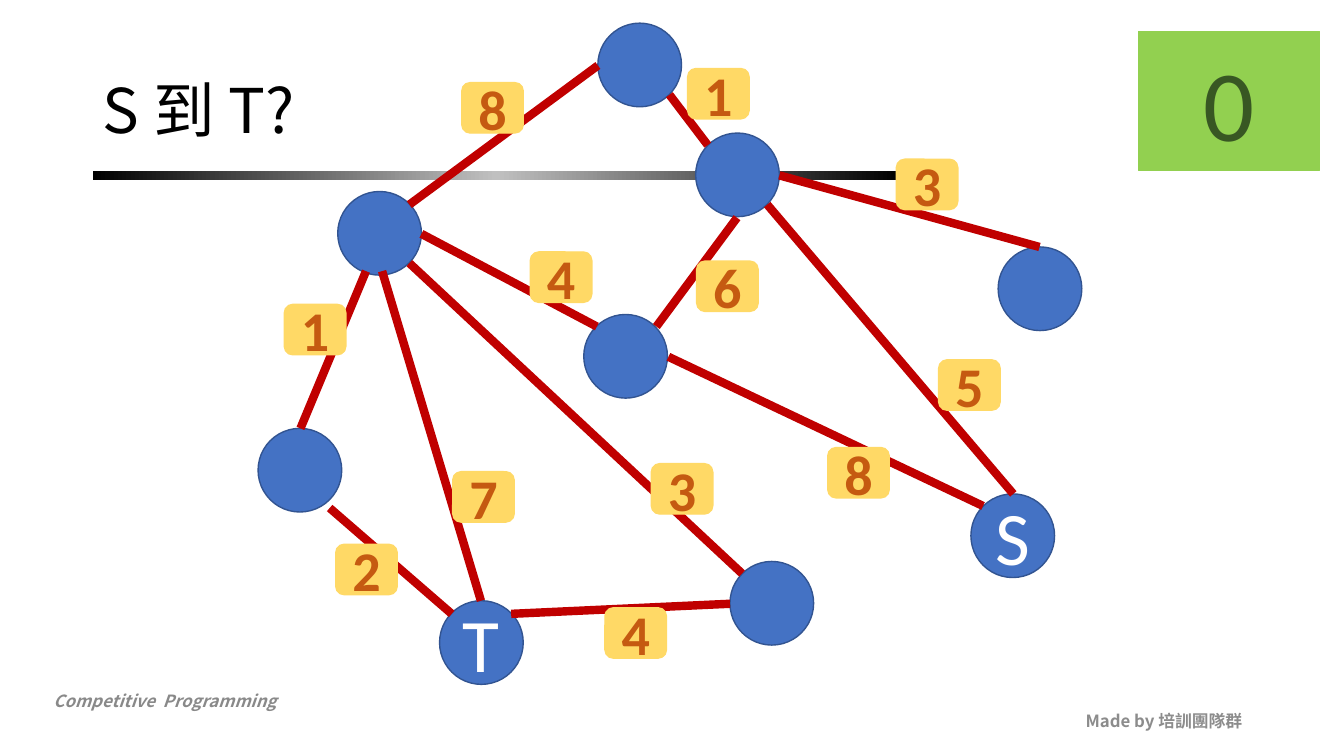
"""Builds the slide that asks for the shortest route from S to T in a weighted graph."""
import copy

import pptx
import pptx.dml.color
import pptx.enum.shapes
import pptx.enum.text
import pptx.oxml.ns
import pptx.util

PX = 9144
SHAPE = pptx.enum.shapes.MSO_SHAPE
ALIGN = pptx.enum.text.PP_ALIGN
MIDDLE = pptx.enum.text.MSO_ANCHOR.MIDDLE
TOP = pptx.enum.text.MSO_ANCHOR.TOP
qn = pptx.oxml.ns.qn

COLORS = {
    "black": "000000", "silver": "C0C0C0", "white": "FFFFFF",
    "footer": "898989", "credit": "8C8C8C",
    "node": "4472C4", "node_line": "325491", "edge": "C00000",
    "weight": "FFD966", "weight_text": "C55A11",
    "answer": "92D050", "answer_text": "385723",
}
LATIN, CJK = "Calibri", "Noto Sans CJK SC"
NODE_SIZE = 83
WEIGHT_WIDTH, WEIGHT_HEIGHT = 61, 50

NODES = [
    (335, 190, ""), (593, 23, ""), (690, 132, ""), (579, 312, ""), (256, 425, ""),
    (990, 245, ""), (724, 557, ""), (436, 596, "T"), (963, 490, "S"),
]
EDGES = [
    (406, 203, 593, 65), (702, 144, 664, 94), (363, 269, 298, 425),
    (592, 324, 418, 232), (477, 596, 379, 269), (731, 216, 651, 324),
    (724, 599, 507, 609), (736, 569, 406, 261), (773, 174, 1031, 245),
    (448, 609, 327, 504), (663, 354, 975, 502), (761, 203, 1005, 490),
]
WEIGHTS = [
    (458, 82, "8"), (682, 68, "1"), (282, 302, "1"), (449, 468, "7"),
    (333, 540, "2"), (646, 460, "3"), (526, 250, "4"), (691, 259, "6"),
    (821, 444, "8"), (889, 158, "3"), (600, 603, "4"), (931, 357, "5"),
]


def rgb(name):
    """Return the named colour."""
    return pptx.dml.color.RGBColor.from_string(COLORS[name])


class Painter:
    """Holds the style and the current slide."""

    def __init__(self, deck):
        """Add a title-only page to the deck."""
        self.page = deck.slides.add_slide(deck.slide_layouts[5])

    def set_text(self, box, text, size, color, font=LATIN, bold=False, italic=False,
                 align=ALIGN.CENTER, anchor=MIDDLE):
        """Put one styled paragraph into a box."""
        frame = box.text_frame
        frame.word_wrap = True
        frame.vertical_anchor = anchor
        para = frame.paragraphs[0]
        para.text = text
        para.alignment = align
        style = para.font
        style.name, style.size = font, pptx.util.Pt(size)
        style.bold, style.italic = bold, italic
        style.color.rgb = rgb(color)
        latin = para._p.pPr.find(qn("a:defRPr")).find(qn("a:latin"))
        east_asian = latin.makeelement(qn("a:ea"), {"typeface": font})
        latin.addnext(east_asian)
        return para

    def title(self, left, top, width, height, text):
        """Place and fill the title placeholder."""
        box = self.page.shapes.title
        box.left, box.top, box.width, box.height = (
            n * PX for n in (left, top, width, height))
        para = self.set_text(box, text, 44, "black", CJK, align=ALIGN.LEFT)
        para.line_spacing = 0.9

    def label(self, left, top, width, height, text, color, **style):
        """Add a small bold text box."""
        box = self.page.shapes.add_textbox(
            *(n * PX for n in (left, top, width, height)))
        self.set_text(box, text, 12, color, CJK, bold=True, **style)

    def shape(self, kind, left, top, width, height, fill, line):
        """Add a filled and outlined shape without shadow."""
        shape = self.page.shapes.add_shape(
            kind, *(n * PX for n in (left, top, width, height)))
        shape.shadow.inherit = False
        shape.fill.solid()
        shape.fill.fore_color.rgb = rgb(fill)
        shape.line.color.rgb = rgb(line)
        shape.line.width = pptx.util.Pt(1)
        return shape

    def gradient_bar(self, left, top, width, height, colors):
        """Add a bar that fades evenly through the colours."""
        bar = self.shape(SHAPE.RECTANGLE, left, top, width, height, colors[0], colors[0])
        bar.line.fill.background()
        bar.fill.gradient()
        bar.fill.gradient_angle = 0
        stop_list = bar._element.spPr.find(qn("a:gradFill")).find(qn("a:gsLst"))
        while len(stop_list) < len(colors):
            stop_list.append(copy.deepcopy(stop_list[0]))
        for i, (stop, color) in enumerate(zip(bar.fill.gradient_stops, colors)):
            stop.color.rgb = rgb(color)
            stop.position = i / (len(colors) - 1)

    def node(self, left, top, name):
        """Add a graph node, with its name if it has one."""
        circle = self.shape(SHAPE.OVAL, left, top, NODE_SIZE, NODE_SIZE, "node", "node_line")
        if name:
            self.set_text(circle, name, 54, "white")

    def edge(self, *ends):
        """Add a graph edge."""
        line = self.page.shapes.add_connector(
            pptx.enum.shapes.MSO_CONNECTOR.STRAIGHT, *(n * PX for n in ends))
        line.line.color.rgb = rgb("edge")
        line.line.width = pptx.util.Pt(6)
        properties = line._element.spPr
        properties.append(properties.makeelement(qn("a:effectLst"), {}))

    def weight(self, left, top, value):
        """Add the weight of an edge."""
        tag = self.shape(SHAPE.ROUNDED_RECTANGLE, left, top, WEIGHT_WIDTH, WEIGHT_HEIGHT,
                         "weight", "weight")
        self.set_text(tag, value, 40, "weight_text", bold=True)

    def answer(self, left, top, width, height, value):
        """Add the answer panel."""
        panel = self.shape(SHAPE.RECTANGLE, left, top, width, height, "answer", "answer")
        self.set_text(panel, value, 72, "answer_text")


def main():
    """Build and save the deck."""
    deck = pptx.Presentation()
    deck.slide_width, deck.slide_height = 1333 * PX, 750 * PX
    painter = Painter(deck)
    painter.label(43, 680, 425, 30, "Competitive  Programming", "footer",
                  italic=True, align=ALIGN.LEFT, anchor=TOP)
    painter.label(942, 695, 300, 40, "Made by 培訓團隊群", "credit", align=ALIGN.RIGHT)
    painter.gradient_bar(92, 170, 800, 9, ["black", "silver", "black"])
    painter.title(92, 40, 1150, 145, "S 到 T?")
    for node in NODES:
        painter.node(*node)
    for edge in EDGES:
        painter.edge(*edge)
    for weight in WEIGHTS:
        painter.weight(*weight)
    painter.answer(1129, 31, 180, 138, "0")
    deck.save("out.pptx")


if __name__ == "__main__":
    main()
